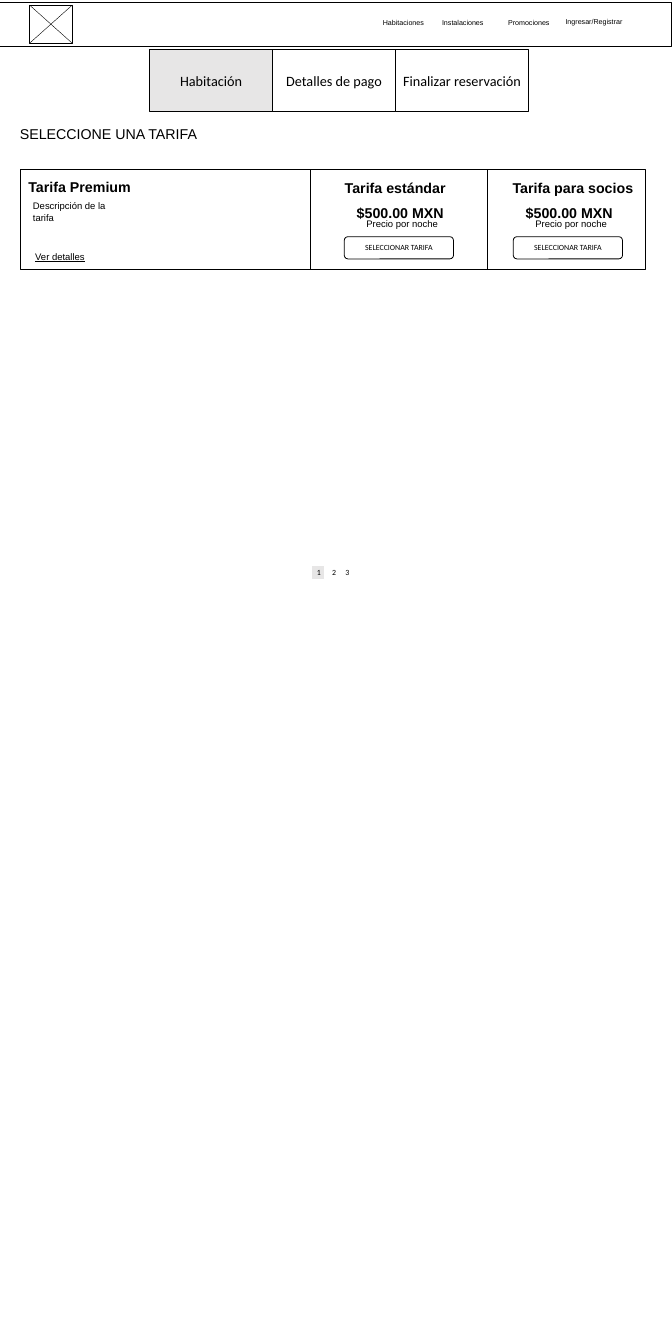
from pptx import Presentation
from pptx.dml.color import RGBColor
from pptx.enum import shapes, text
from pptx.oxml import ns, xmlchemy
from pptx.util import Inches, Pt

BLACK = RGBColor(0x00, 0x00, 0x00)
WHITE = RGBColor(0xFF, 0xFF, 0xFF)
GRAY = RGBColor(0xE7, 0xE6, 0xE6)
RECT = shapes.MSO_SHAPE.RECTANGLE
ROUNDED = shapes.MSO_SHAPE.ROUNDED_RECTANGLE
LEFT, CENTER, JUSTIFY = text.PP_ALIGN.LEFT, text.PP_ALIGN.CENTER, text.PP_ALIGN.JUSTIFY

MENU = [
    ("Habitaciones", 6.63, 0.28, 1.04),
    ("Instalaciones", 7.67, 0.28, 1.04),
    ("Promociones", 8.83, 0.28, 1.04),
    ("Ingresar/Registrar", 9.84, 0.26, 1.5),
]
STEPS = [
    ("Habitación", 2.16, GRAY),
    ("Detalles de pago", 2.16, WHITE),
    ("Finalizar reservación", 2.34, WHITE),
]
HEADING = "SELECCIONE UNA TARIFA"
RATE_NAME = "Tarifa Premium"
RATE_TEXT = "Descripción de la tarifa"
RATE_LINK = "Ver detalles"
PRICES = [
    ("Tarifa estándar", 5.96, "$500.00 MXN", 6.05),
    ("Tarifa para socios", 8.91, "$500.00 MXN", 9.02),
]
PRICE_NOTE = "Precio por noche"
BUTTON = "SELECCIONAR TARIFA"
PAGES = [("1", 5.47, GRAY), ("2", 5.74, WHITE), ("3", 5.97, WHITE)]

LOGO_X, LOGO_Y, LOGO_W, LOGO_H = 0.52, 0.09, 0.75, 0.67
CARD_X, CARD_Y, CARD_W, CARD_H = 0.35, 2.98, 10.99, 1.75
DIVIDERS = (5.45, 8.57)

prs = Presentation()
prs.slide_width, prs.slide_height = Inches(11.81), Inches(23.62)
s = prs.slides.add_slide(prs.slide_layouts[6])


def write(tf, words, size, font, align):
    p = tf.paragraphs[0]
    p.text = words
    p.alignment = align
    p.font.size = Pt(size)
    p.font.name = font
    p.font.color.rgb = BLACK
    return p


def box(x, y, w, h, fill=WHITE, line=BLACK, weight=1, kind=RECT, words=None, size=10):
    sp = s.shapes.add_shape(kind, Inches(x), Inches(y), Inches(w), Inches(h))
    sp.shadow.inherit = False
    sp.fill.solid()
    sp.fill.fore_color.rgb = fill
    sp.line.color.rgb = line
    sp.line.width = Pt(weight)
    if words:
        sp.text_frame.vertical_anchor = text.MSO_ANCHOR.MIDDLE
        write(sp.text_frame, words, size, "Calibri", CENTER)


def label(words, x, y, w, h, size, bold=False, align=LEFT, wrap=True, underline=False):
    tf = s.shapes.add_textbox(Inches(x), Inches(y), Inches(w), Inches(h)).text_frame
    tf.word_wrap = wrap
    tf.auto_size = text.MSO_AUTO_SIZE.SHAPE_TO_FIT_TEXT
    p = write(tf, words, size, "Arial", align)
    p.font.bold = bold
    p.runs[0].font.underline = underline


def rule(x1, y1, x2, y2):
    c = s.shapes.add_connector(shapes.MSO_CONNECTOR.STRAIGHT,
                               Inches(x1), Inches(y1), Inches(x2), Inches(y2))
    c.line.color.rgb = BLACK
    c.line.width = Pt(0.5)
    c._element.spPr.append(xmlchemy.OxmlElement("a:effectLst"))


box(CARD_X, CARD_Y, CARD_W, CARD_H)
box(-0.02, 0.04, 11.81, 0.77, weight=0.25)

box(LOGO_X, LOGO_Y, LOGO_W, LOGO_H)
logo_right, logo_bottom = LOGO_X + LOGO_W, LOGO_Y + LOGO_H
rule(LOGO_X, logo_bottom, logo_right, LOGO_Y)
rule(logo_right, logo_bottom, LOGO_X, LOGO_Y)

for words, x, y, w in MENU:
    label(words, x, y, w, 0.25, 9)

step_x = 2.63
for words, w, fill in STEPS:
    box(step_x, 0.87, w, 1.09, fill, words=words, size=18)
    step_x += w

label(HEADING, 0.25, 2.16, 4.06, 0.4, 18)
label(RATE_NAME, 0.4, 3.08, 2.48, 0.7, 18, bold=True, align=JUSTIFY)
label(RATE_TEXT, 0.48, 3.47, 1.89, 0.3, 12, wrap=False)
label(RATE_LINK, 0.52, 4.36, 1.08, 0.3, 12, wrap=False, underline=True)

for x in DIVIDERS:
    rule(x, CARD_Y, x, CARD_Y + CARD_H)

for title, title_x, price, x in PRICES:
    box(x, 4.16, 1.92, 0.39, kind=ROUNDED, words=BUTTON)
    label(price, x + 0.12, 3.54, 1.85, 0.4, 18, bold=True)
    label(PRICE_NOTE, x + 0.29, 3.78, 1.46, 0.3, 12, wrap=False)
    label(title, title_x, 3.1, 2.48, 0.7, 18, bold=True, align=JUSTIFY)

for words, x, fill in PAGES:
    box(x, 9.94, 0.24, 0.24, fill, line=WHITE, words=words)

prs.save("out.pptx")
